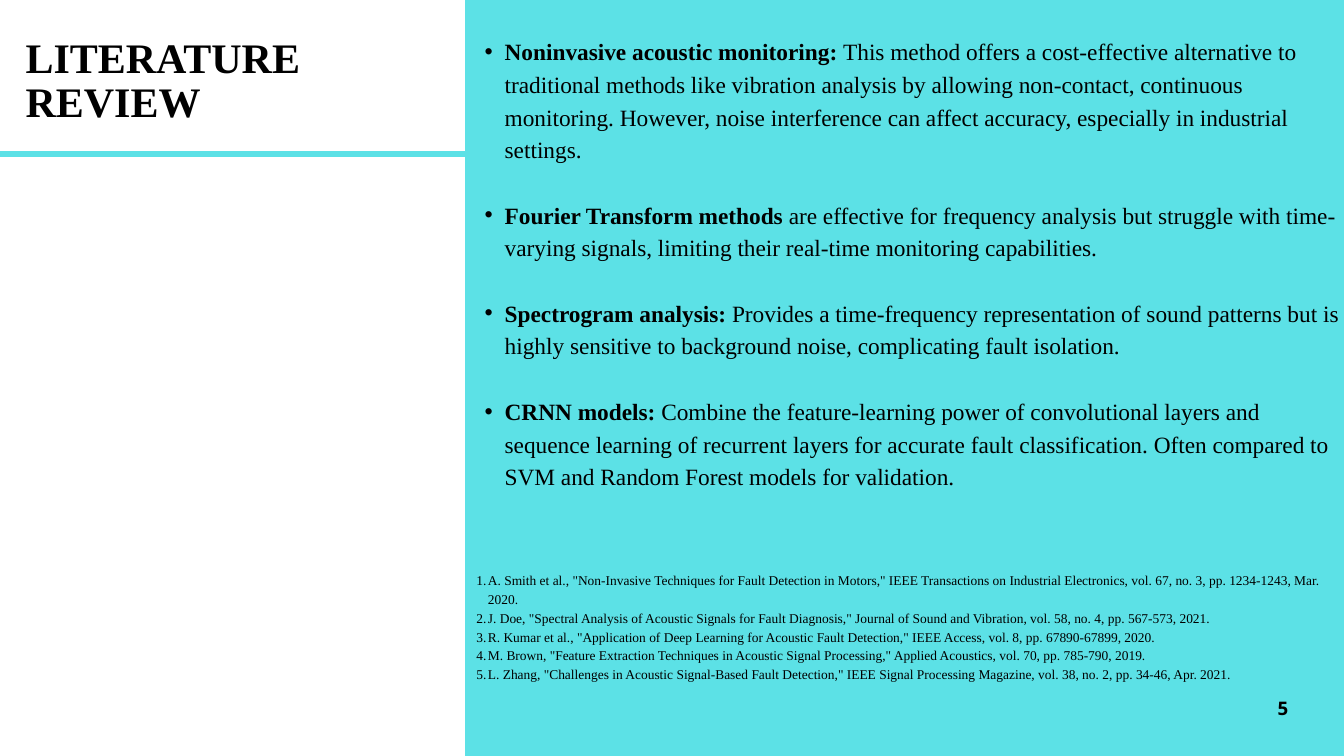
from lxml.etree import SubElement
from pptx import Presentation
from pptx.dml.color import RGBColor
from pptx.enum.shapes import MSO_CONNECTOR as Connector, MSO_SHAPE as Shape
from pptx.enum.text import MSO_ANCHOR as Anchor, MSO_AUTO_SIZE as AutoSize, PP_ALIGN as Align
from pptx.oxml.ns import qn
from pptx.util import Inches, Pt

AQUA = RGBColor(0x5C, 0xE1, 0xE6)
BLACK = RGBColor(0, 0, 0)
SERIF = "Times New Roman"
WIDTH, HEIGHT = 20, 11.25
SPLIT = 6.92

METHODS = [
    ("Noninvasive acoustic monitoring: ",
     "This method offers a cost-effective alternative to traditional methods like vibration "
     "analysis by allowing non-contact, continuous monitoring. However, noise interference "
     "can affect accuracy, especially in industrial settings."),
    ("Fourier Transform methods ",
     "are effective for frequency analysis but struggle with time-varying signals, limiting "
     "their real-time monitoring capabilities."),
    ("Spectrogram analysis: ",
     "Provides a time-frequency representation of sound patterns but is highly sensitive to "
     "background noise, complicating fault isolation."),
    ("CRNN models: ",
     "Combine the feature-learning power of convolutional layers and sequence learning of "
     "recurrent layers for accurate fault classification. Often compared to SVM and Random "
     "Forest models for validation."),
]
REFERENCES = [
    'A. Smith et al., "Non-Invasive Techniques for Fault Detection in Motors," IEEE '
    'Transactions on Industrial Electronics, vol. 67, no. 3, pp. 1234-1243, Mar. 2020.',
    'J. Doe, "Spectral Analysis of Acoustic Signals for Fault Diagnosis," Journal of Sound '
    'and Vibration, vol. 58, no. 4, pp. 567-573, 2021.',
    'R. Kumar et al., "Application of Deep Learning for Acoustic Fault Detection," IEEE '
    'Access, vol. 8, pp. 67890-67899, 2020.',
    'M. Brown, "Feature Extraction Techniques in Acoustic Signal Processing," Applied '
    'Acoustics, vol. 70, pp. 785-790, 2019.',
    'L. Zhang, "Challenges in Acoustic Signal-Based Fault Detection," IEEE Signal Processing '
    'Magazine, vol. 38, no. 2, pp. 34-46, Apr. 2021.',
]


def place(shape, box):
    """Fit a text shape to a box in inches and return its bare text frame."""
    shape.left, shape.top, shape.width, shape.height = map(Inches, box)
    frame = shape.text_frame
    frame.margin_left = frame.margin_top = frame.margin_right = frame.margin_bottom = 0
    frame.word_wrap = True
    frame.auto_size = AutoSize.NONE
    frame.vertical_anchor = Anchor.TOP
    return frame


def add_text(page, box):
    """Add a text box and return its bare text frame."""
    return place(page.shapes.add_textbox(0, 0, 0, 0), box)


def style(para, size, leading, font=SERIF, bold=False, align=Align.LEFT):
    """Format a paragraph and all its runs."""
    para.alignment = align
    para.line_spacing = Pt(leading)
    para.space_before = Pt(0)
    for span in para.runs:
        span.font.name, span.font.size, span.font.bold = font, Pt(size), bold
        span.font.color.rgb = BLACK


def add_marker(para, indent, hang, tag, **attributes):
    """Give a paragraph a hanging indent with a bullet or a number."""
    para.level = 1
    properties = para._p.get_or_add_pPr()
    properties.set("marL", str(Inches(indent)))
    properties.set("indent", str(-Inches(hang)))
    SubElement(properties, qn("a:buFont"), typeface="Arial")
    SubElement(properties, qn(tag), **attributes)


def add_heading(page, box):
    """Set the slide title in the left column."""
    frame = place(page.shapes.title, box)
    frame.text = "LITERATURE \nREVIEW"
    for para in frame.paragraphs:
        style(para, 45, 47.2, bold=True, align=Align.JUSTIFY)


def add_panel(page, box):
    """Draw the coloured background of the right column."""
    panel = page.shapes.add_shape(Shape.RECTANGLE, *map(Inches, box))
    panel.shadow.inherit = False
    panel.fill.solid()
    panel.fill.fore_color.rgb = AQUA
    panel.line.fill.background()


def add_rule(page, width, top):
    """Draw the rule below the title."""
    rule = page.shapes.add_connector(
        Connector.STRAIGHT, 0, Inches(top), Inches(width), Inches(top))
    rule.line.color.rgb = AQUA
    rule.line.width = Pt(6)
    SubElement(rule._element.spPr, qn("a:effectLst"))


def add_methods(page, box):
    """List the reviewed methods, one line apart."""
    frame = add_text(page, box)
    frame.text = "\n".join(name for name, _ in METHODS)
    for index, (para, (_, summary)) in enumerate(zip(frame.paragraphs, METHODS)):
        para.add_run().text = summary
        style(para, 25, 35)
        para.runs[0].font.bold = True
        para.space_before = Pt(35 if index else 0)
        add_marker(para, 0.59, 0.3, "a:buChar", char="•")


def add_references(page, box):
    """List the numbered references."""
    frame = add_text(page, box)
    frame.text = "\n".join(REFERENCES)
    for para in frame.paragraphs:
        style(para, 14.4, 20.1)
        add_marker(para, 0.34, 0.17, "a:buAutoNum", type="arabicPeriod")
    frame.paragraphs[3].alignment = Align.JUSTIFY


def add_page_number(page, box):
    """Show the page number at the lower right."""
    frame = add_text(page, box)
    frame.text = "5"
    para = frame.paragraphs[0]
    style(para, 20, 31, "Open Sans", True, Align.RIGHT)
    para.runs[0].font._element.set("spc", "150")


def main():
    """Build the slide and save the deck."""
    deck = Presentation()
    deck.slide_width, deck.slide_height = Inches(WIDTH), Inches(HEIGHT)
    page = deck.slides.add_slide(deck.slide_layouts[5])
    column = WIDTH - SPLIT
    add_heading(page, (0.38, 0.56, SPLIT - 0.38, 1.44))
    add_panel(page, (SPLIT, 0, column, HEIGHT))
    add_rule(page, SPLIT, 2.29)
    add_methods(page, (SPLIT, 0.49, column, 6.74))
    add_references(page, (SPLIT, 8.48, column, 1.65))
    add_page_number(page, (18.99, 10.27, 0.18, 0.4))
    deck.save("out.pptx")


if __name__ == "__main__":
    main()
